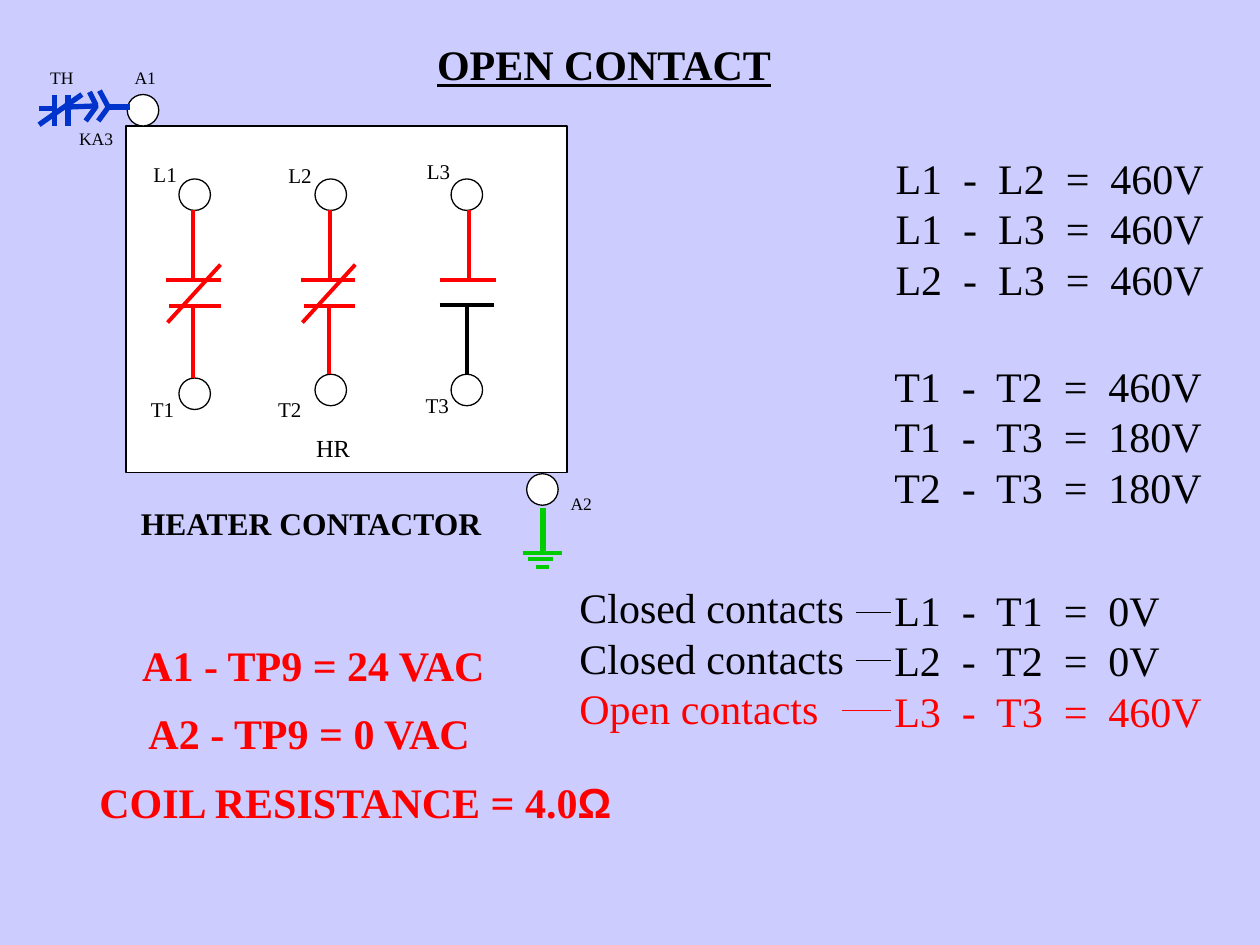
from dataclasses import dataclass
from typing import Optional

from lxml import etree
from pptx import Presentation
from pptx.dml.color import RGBColor
from pptx.enum import shapes as sh, text as tx
from pptx.oxml.ns import qn
from pptx.util import Inches, Pt

BLACK = RGBColor(0, 0, 0)
WHITE = RGBColor(255, 255, 255)
RED = RGBColor(255, 0, 0)
BLUE = RGBColor(0, 0x33, 0xCC)
GREEN = RGBColor(0, 0xCC, 0)
BACK = RGBColor(0xCC, 0xCC, 0xFF)
SERIF = "Times New Roman"
DOT = 0.25


@dataclass
class Label:
    text: str
    left: float
    top: float
    width: float
    height: float
    size: int
    color: RGBColor = BLACK
    last: Optional[RGBColor] = None
    bold: bool = False
    under: bool = False


@dataclass
class Wire:
    x1: float
    y1: float
    x2: float
    y2: float
    color: RGBColor
    width: float


@dataclass
class Pole:
    dot: float
    upper: float
    lower: float
    left: float
    right: float
    base: float
    closed: bool


def draw_shape(slide, kind, left: float, top: float, width: float, height: float):
    shape = slide.shapes.add_shape(
        kind, Inches(left), Inches(top), Inches(width), Inches(height))
    shape.shadow.inherit = False
    shape.fill.solid()
    shape.fill.fore_color.rgb = WHITE
    shape.line.color.rgb = BLACK
    shape.line.width = Pt(0.75)


def draw_dot(slide, left: float, top: float):
    draw_shape(slide, sh.MSO_SHAPE.OVAL, left, top, DOT, DOT)


def draw_wire(slide, wire: Wire):
    line = slide.shapes.add_connector(
        sh.MSO_CONNECTOR.STRAIGHT, Inches(wire.x1), Inches(wire.y1),
        Inches(wire.x2), Inches(wire.y2))
    line.line.color.rgb = wire.color
    line.line.width = Pt(wire.width)
    etree.SubElement(line._element.spPr, qn("a:effectLst"))


def draw_label(slide, label: Label):
    box = slide.shapes.add_textbox(
        Inches(label.left), Inches(label.top), Inches(label.width), Inches(label.height))
    frame = box.text_frame
    frame.text = label.text
    frame.word_wrap = True
    frame.auto_size = tx.MSO_AUTO_SIZE.SHAPE_TO_FIT_TEXT
    paras = frame.paragraphs
    for para in paras:
        for run in para.runs:
            font = run.font
            font.name = SERIF
            font.size = Pt(label.size)
            font.bold = label.bold
            font.underline = label.under
            font.color.rgb = label.color
    if label.last is not None:
        paras[-1].runs[0].font.color.rgb = label.last
    return frame


def draw_pole(slide, pole: Pole):
    top, bar = 1.42, 2.22
    draw_dot(slide, pole.dot, top)
    draw_dot(slide, pole.dot, pole.base)
    color = RED if pole.closed else BLACK
    wires = [
        Wire(pole.upper, top + DOT, pole.upper, bar, RED, 2.25),
        Wire(pole.left, bar, pole.right, bar, RED, 2.25),
        Wire(pole.lower, 2.42, pole.lower, pole.base, color, 2.25),
    ]
    if pole.closed:
        wires += [
            Wire(pole.left + 0.01, 2.56, pole.right, 2.1, RED, 2.25),
            Wire(pole.left + 0.02, 2.43, pole.right, 2.43, RED, 2.25),
        ]
    else:
        wires.append(Wire(pole.left, 2.42, pole.right - 0.02, 2.42, BLACK, 2.25))
    for wire in wires:
        draw_wire(slide, wire)


POLES = [
    Pole(1.42, 1.53, 1.53, 1.32, 1.75, 3.0, True),
    Pole(2.5, 2.62, 2.61, 2.39, 2.82, 2.97, True),
    Pole(3.58, 3.72, 3.71, 3.49, 3.94, 2.97, False),
]

RELAY = [
    (0.31, 0.86, 0.43, 0.86), (0.43, 0.75, 0.43, 1.0),
    (0.31, 0.99, 0.65, 0.75), (0.54, 0.75, 0.54, 1.0),
    (0.53, 0.85, 0.78, 0.84), (0.76, 0.85, 0.68, 0.96),
    (0.76, 0.83, 0.71, 0.73), (0.86, 0.85, 0.79, 0.72),
    (0.86, 0.85, 0.78, 0.96), (0.85, 0.85, 1.03, 0.85),
]

WIRES = [Wire(*ends, BLUE, 3) for ends in RELAY] + [
    Wire(4.31, 4.03, 4.31, 4.38, GREEN, 3),
    Wire(4.15, 4.39, 4.46, 4.39, GREEN, 2.25),
    Wire(4.19, 4.44, 4.39, 4.44, GREEN, 2.25),
    Wire(4.25, 4.5, 4.36, 4.5, GREEN, 2.25),
    Wire(6.79, 4.86, 7.07, 4.86, BLACK, 0.75),
    Wire(6.79, 5.24, 7.07, 5.24, BLACK, 0.75),
    Wire(6.68, 5.64, 7.07, 5.64, RED, 0.75),
]

LABELS = [
    Label("TH", 0.3, 0.48, 0.42, 0.27, 10),
    Label("A1", 0.97, 0.48, 0.42, 0.27, 10),
    Label("KA3", 0.53, 0.97, 0.52, 0.27, 10),
    Label("A2", 4.43, 3.86, 0.42, 0.27, 10),
    Label("L1", 1.12, 1.23, 0.44, 0.3, 12),
    Label("L2", 2.19, 1.24, 0.44, 0.3, 12),
    Label("L3", 3.29, 1.21, 0.44, 0.3, 12),
    Label("T1", 1.1, 3.1, 0.44, 0.3, 12),
    Label("T2", 2.11, 3.1, 0.44, 0.3, 12),
    Label("T3", 3.28, 3.07, 0.44, 0.3, 12),
    Label("HR", 2.41, 3.39, 0.52, 0.34, 14),
    Label("HEATER CONTACTOR", 1.02, 3.95, 3, 0.4, 18, bold=True),
    Label("OPEN CONTACT", 3.37, 0.26, 2.92, 0.5, 24, bold=True, under=True),
    Label("L1  -  L2  =  460V\nL1  -  L3  =  460V\nL2  -  L3  =  460V",
          7.01, 1.16, 2.7, 1.3, 24),
    Label("T1  -  T2  =  460V\nT1  -  T3  =  180V\nT2  -  T3  =  180V",
          7, 2.81, 2.7, 1.3, 24),
    Label("L1  -  T1  =  0V\nL2  -  T2  =  0V\nL3  -  T3  =  460V",
          7, 4.59, 2.7, 1.3, 24, last=RED),
    Label("Closed contacts\nClosed contacts\nOpen contacts",
          4.5, 4.57, 2.35, 1.3, 24, last=RED),
    Label("A1 - TP9 = 24 VAC", 1.03, 5.03, 3.02, 0.5, 24, RED, bold=True),
    Label("A2 - TP9 = 0 VAC", 1.08, 5.57, 2.85, 0.5, 24, RED, bold=True),
]
COIL = Label("COIL RESISTANCE = 4.0", 0.69, 6.11, 4.35, 0.5, 24, RED, bold=True)


def main():
    deck = Presentation()
    deck.slide_width, deck.slide_height = Inches(10), Inches(7.5)
    slide = deck.slides.add_slide(deck.slide_layouts[6])
    slide.background.fill.solid()
    slide.background.fill.fore_color.rgb = BACK
    draw_shape(slide, sh.MSO_SHAPE.RECTANGLE, 1, 1, 3.5, 2.75)
    draw_dot(slide, 1.01, 0.75)
    draw_dot(slide, 4.18, 3.76)
    for pole in POLES:
        draw_pole(slide, pole)
    for wire in WIRES:
        draw_wire(slide, wire)
    for label in LABELS:
        draw_label(slide, label)
    ohm = draw_label(slide, COIL).paragraphs[0].add_run()
    ohm.text = "Ω"
    ohm.font.name = "Arial"
    ohm.font.size = Pt(COIL.size)
    ohm.font.bold = True
    ohm.font.color.rgb = RED
    deck.save("out.pptx")


if __name__ == "__main__":
    main()
